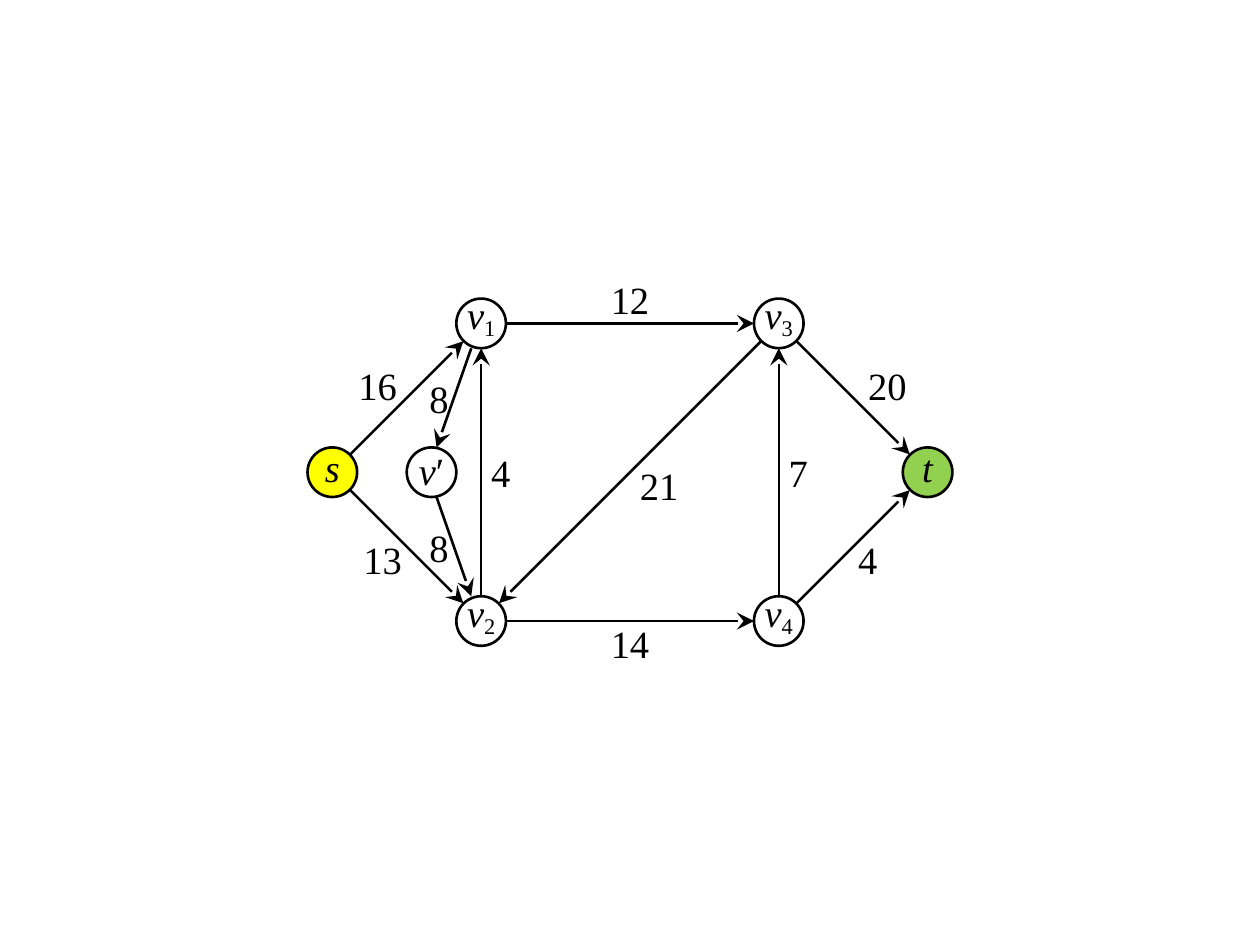
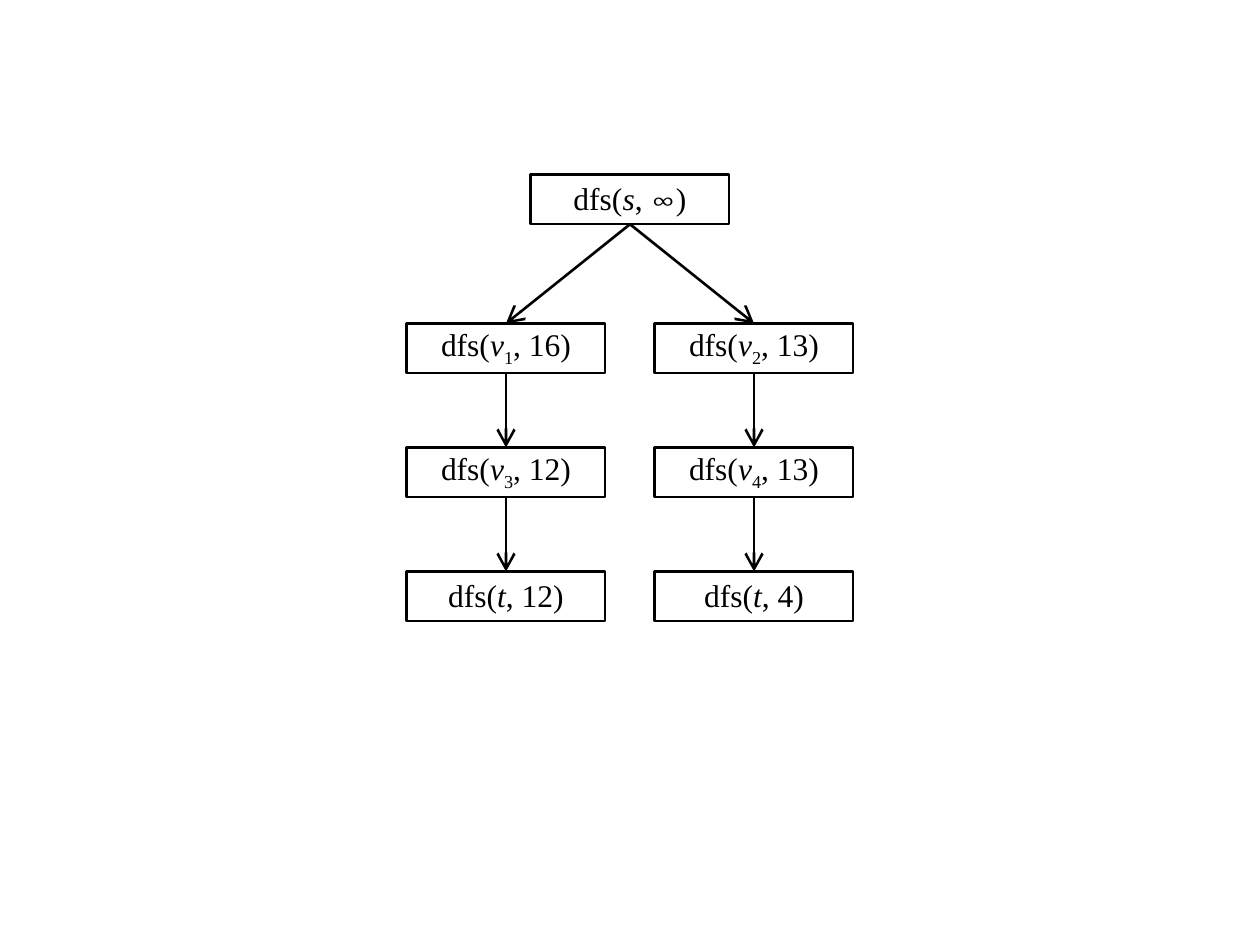
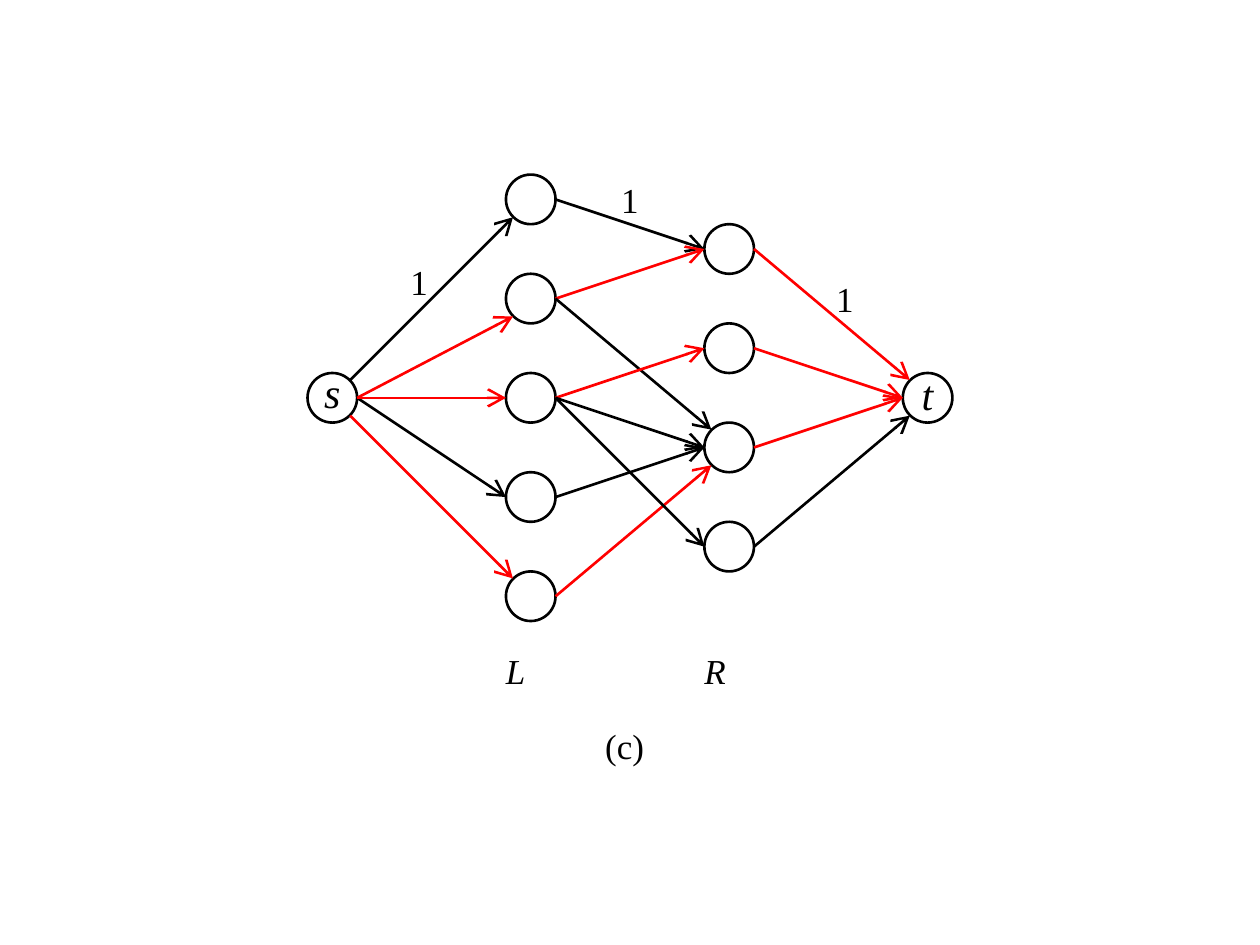
from typing import NamedTuple

import pptx
import pptx.dml.color
import pptx.enum.shapes
import pptx.enum.text
import pptx.oxml
import pptx.oxml.ns
import pptx.util
from pptx.enum.shapes import MSO_CONNECTOR, MSO_SHAPE
from pptx.enum.text import MSO_ANCHOR, PP_ALIGN

# Scale: 50 px make one centimetre
PX = 7200
BLACK, WHITE, RED = "000000", "FFFFFF", "FF0000"
YELLOW, GREEN = "FFFF00", "92D050"
SERIF = "Times New Roman"
LINE_WIDTH = pptx.util.Pt(1.5)
RADIUS = 25
# Points on a node's rim, measured from its centre
RIM = {
    "N": (0, -25), "NE": (18, -18), "E": (25, 0), "SE": (18, 18),
    "S": (0, 25), "SW": (-18, 18), "W": (-25, 0), "NW": (-18, -18),
    "NNE": (5, -25), "SSE": (5, 25), "SSW": (-10, 25), "NNW": (-10, -25),
}


class Run(NamedTuple):
    text: str
    italic: bool = False
    baseline: int = 0
    font: str = SERIF
    size: int = 0


class TextStyle(NamedTuple):
    size: int
    align: PP_ALIGN = PP_ALIGN.CENTER
    anchor: MSO_ANCHOR = MSO_ANCHOR.MIDDLE
    insets: tuple[int, int, int, int] = (0, 0, 0, 0)
    wrap: bool = False
    spacing: float = 1.0


class Node(NamedTuple):
    x: int
    y: int
    runs: tuple[Run, ...] = ()
    fill: str = WHITE
    size: int = 22
    anchor: MSO_ANCHOR = MSO_ANCHOR.MIDDLE
    bottom_inset: int = 0


class Edge(NamedTuple):
    start: str
    leaves: str
    end: str
    enters: str
    color: str = BLACK


class Label(NamedTuple):
    runs: tuple[Run, ...]
    left: int
    top: int
    width: int
    style: TextStyle
    height: int = 50


class Call(NamedTuple):
    runs: tuple[Run, ...]
    left: int
    top: int
    parent: int | None = None


def px(length: int) -> int:
    return pptx.util.Emu(length * PX)


def rgb(value: str) -> pptx.dml.color.RGBColor:
    return pptx.dml.color.RGBColor.from_string(value)


def write(shape, runs: tuple[Run, ...], style: TextStyle) -> None:
    frame = shape.text_frame
    frame.word_wrap = style.wrap
    frame.vertical_anchor = style.anchor
    (frame.margin_left, frame.margin_top,
     frame.margin_right, frame.margin_bottom) = map(px, style.insets)
    paragraph = frame.paragraphs[0]
    paragraph.alignment = style.align
    if style.spacing != 1.0:
        paragraph.line_spacing = style.spacing
    for part in runs:
        run = paragraph.add_run()
        run.text = part.text
        run.font.name = part.font
        run.font.size = pptx.util.Pt(part.size or style.size)
        run.font.italic = part.italic
        run.font.color.rgb = rgb(BLACK)
        if part.baseline:
            run.font._element.set("baseline", str(part.baseline * 1000))


def draw_outline(slide, kind: MSO_SHAPE, left: int, top: int,
                 width: int, height: int, fill: str | None = None):
    shape = slide.shapes.add_shape(kind, px(left), px(top), px(width), px(height))
    shape.shadow.inherit = False
    if fill:
        shape.fill.solid()
        shape.fill.fore_color.rgb = rgb(fill)
    else:
        shape.fill.background()
    shape.line.color.rgb = rgb(BLACK)
    shape.line.width = LINE_WIDTH
    return shape


def draw_arrow(slide, start: tuple[int, int], end: tuple[int, int],
               head: str, color: str = BLACK):
    arrow = slide.shapes.add_connector(
        MSO_CONNECTOR.STRAIGHT, *map(px, start), *map(px, end))
    arrow.line.color.rgb = rgb(color)
    arrow.line.width = LINE_WIDTH
    namespace = pptx.oxml.ns.nsdecls("a")
    arrow.line._get_or_add_ln().append(pptx.oxml.parse_xml(
        f'<a:tailEnd {namespace} type="{head}" w="lg" len="lg"/>'))
    arrow._element.spPr.append(pptx.oxml.parse_xml(f"<a:effectLst {namespace}/>"))
    return arrow


def draw_node(slide, node: Node) -> None:
    circle = draw_outline(slide, MSO_SHAPE.OVAL, node.x - RADIUS, node.y - RADIUS,
                          2 * RADIUS, 2 * RADIUS, node.fill)
    if node.runs:
        write(circle, node.runs, TextStyle(
            node.size, anchor=node.anchor,
            insets=(0, 0, 0, node.bottom_inset), wrap=True))


def rim_point(node: Node, site: str) -> tuple[int, int]:
    dx, dy = RIM[site]
    return node.x + dx, node.y + dy


def draw_label(slide, label: Label) -> None:
    box = slide.shapes.add_textbox(
        px(label.left), px(label.top), px(label.width), px(label.height))
    write(box, label.runs, label.style)


def draw_graph(slide, nodes: dict[str, Node], edges: list[Edge],
               labels: list[Label], head: str) -> None:
    for label in labels:
        draw_label(slide, label)
    for node in nodes.values():
        draw_node(slide, node)
    for edge in edges:
        draw_arrow(slide, rim_point(nodes[edge.start], edge.leaves),
                   rim_point(nodes[edge.end], edge.enters), head, edge.color)


def draw_flow_network(slide) -> None:
    def vertex(index: str, x: int, y: int) -> Node:
        return Node(x, y, (Run("v", True), Run(index, baseline=-18)),
                    anchor=MSO_ANCHOR.BOTTOM)

    def capacity(value: str, left: int, top: int, width: int,
                 align: PP_ALIGN, *insets: int) -> Label:
        return Label((Run(value),), left, top, width,
                     TextStyle(22, align, insets=insets), width)

    nodes = {
        "v1": vertex("1", 485, 326),
        "v2": vertex("2", 485, 626),
        "v3": vertex("3", 785, 326),
        "v4": vertex("4", 785, 626),
        "s": Node(335, 476, (Run("s", True),), YELLOW, anchor=MSO_ANCHOR.BOTTOM),
        "t": Node(935, 476, (Run("t", True),), GREEN, bottom_inset=10),
        "v′": Node(435, 476, (Run("v", True), Run("′")), bottom_inset=5),
    }
    edges = [
        Edge("s", "NE", "v1", "SW"),
        Edge("v1", "E", "v3", "W"),
        Edge("v3", "SW", "v2", "NE"),
        Edge("v2", "E", "v4", "W"),
        Edge("v2", "N", "v1", "S"),
        Edge("v3", "SE", "t", "NW"),
        Edge("v4", "N", "v3", "S"),
        Edge("s", "SE", "v2", "NW"),
        Edge("v4", "NE", "t", "SW"),
        Edge("v1", "SSW", "v′", "NNE"),
        Edge("v′", "SSE", "v2", "NNW"),
    ]
    left, center, right = PP_ALIGN.LEFT, PP_ALIGN.CENTER, PP_ALIGN.RIGHT
    capacities = [
        capacity("16", 335, 351, 75, right, 0, 0, 10, 0),
        capacity("12", 610, 276, 50, center, 0, 0, 0, 0),
        capacity("13", 335, 526, 75, right, 0, 0, 5, 0),
        capacity("20", 860, 351, 75, left, 15, 0, 0, 0),
        capacity("14", 610, 626, 50, center, 0, 0, 0, 5),
        capacity("4", 860, 526, 75, left, 5, 0, 0, 0),
        capacity("21", 635, 451, 75, left, 10, 0, 0, 0),
        capacity("4", 485, 451, 50, left, 10, 0, 0, 0),
        capacity("7", 785, 451, 50, left, 10, 0, 0, 0),
        capacity("8", 410, 376, 50, center, 15, 0, 0, 0),
        capacity("8", 410, 526, 50, center, 15, 0, 0, 0),
    ]
    draw_graph(slide, nodes, edges, capacities, "stealth")


def draw_call_tree(slide) -> None:
    def dfs(vertex: str, index: str, *rest: Run) -> tuple[Run, ...]:
        subscript = (Run(index, baseline=-25),) if index else ()
        return (Run("dfs("), Run(vertex, True), *subscript, *rest)

    # Each call names the position of its caller in the list
    calls = [Call(dfs("s", "", Run(", "), Run("∞", font="Cambria", size=17),
                      Run(")")), 535, 176)]
    branches = [
        (410, [("v", "1", ", 16)"), ("v", "3", ", 12)"), ("t", "", ", 12)")]),
        (660, [("v", "2", ", 13)"), ("v", "4", ", 13)"), ("t", "", ", 4)")]),
    ]
    for left, steps in branches:
        parent = 0
        for row, (vertex, index, rest) in enumerate(steps):
            calls.append(Call(dfs(vertex, index, Run(rest)),
                              left, 326 + 125 * row, parent))
            parent = len(calls) - 1

    style = TextStyle(18, insets=(13, 0, 13, 3))
    boxes = []
    for call in calls:
        box = draw_outline(slide, MSO_SHAPE.RECTANGLE, call.left, call.top, 200, 50)
        write(box, call.runs, style)
        boxes.append(box)
        if call.parent is not None:
            arrow = draw_arrow(slide, (0, 0), (0, 0), "arrow")
            arrow.begin_connect(boxes[call.parent], 2)
            arrow.end_connect(box, 0)


def draw_matching(slide) -> None:
    nodes = {"s": Node(335, 401, (Run("s", True),), size=24, bottom_inset=13)}
    nodes |= {f"L{i + 1}": Node(535, 201 + 100 * i) for i in range(5)}
    nodes |= {f"R{i + 1}": Node(735, 251 + 100 * i) for i in range(4)}
    nodes["t"] = Node(935, 401, (Run("t", True),), size=24, bottom_inset=8)

    # Red edges carry flow
    edges = [
        Edge("L4", "E", "R3", "W"),
        Edge("L5", "E", "R3", "SW", RED),
        Edge("L1", "E", "R1", "W"),
        Edge("s", "E", "L2", "SW", RED),
        Edge("L2", "E", "R1", "W", RED),
        Edge("L2", "E", "R3", "NW"),
        Edge("L3", "E", "R2", "W", RED),
        Edge("L3", "E", "R3", "W"),
        Edge("s", "NE", "L1", "SW"),
        Edge("s", "SE", "L5", "NW", RED),
        Edge("s", "E", "L4", "W"),
        Edge("R1", "E", "t", "NW", RED),
        Edge("R2", "E", "t", "W", RED),
        Edge("R3", "E", "t", "W", RED),
        Edge("R4", "E", "t", "SW"),
        Edge("s", "E", "L3", "W", RED),
        Edge("L3", "E", "R4", "W"),
    ]

    def unit_capacity(left: int, top: int, width: int, *insets: int) -> Label:
        return Label((Run("1"),), left, top, width,
                     TextStyle(20, insets=insets, wrap=True, spacing=0.9))

    caption = TextStyle(20, PP_ALIGN.LEFT)
    labels = [
        Label((Run("L", True),), 510, 651, 50, caption),
        Label((Run("R", True),), 710, 651, 50, caption),
        Label((Run("(c)"),), 610, 726, 50, caption),
        unit_capacity(385, 251, 75, 13, 20, 13, 0),
        unit_capacity(610, 176, 50, 13, 5, 13, 0),
        unit_capacity(810, 276, 75, 13, 5, 5, 0),
    ]
    draw_graph(slide, nodes, edges, labels, "arrow")


def main() -> None:
    deck = pptx.Presentation()
    deck.slide_width = pptx.util.Inches(10)
    deck.slide_height = pptx.util.Inches(7.5)
    blank = deck.slide_layouts[6]
    for draw in (draw_flow_network, draw_call_tree, draw_matching):
        draw(deck.slides.add_slide(blank))
    deck.save("out.pptx")


if __name__ == "__main__":
    main()
